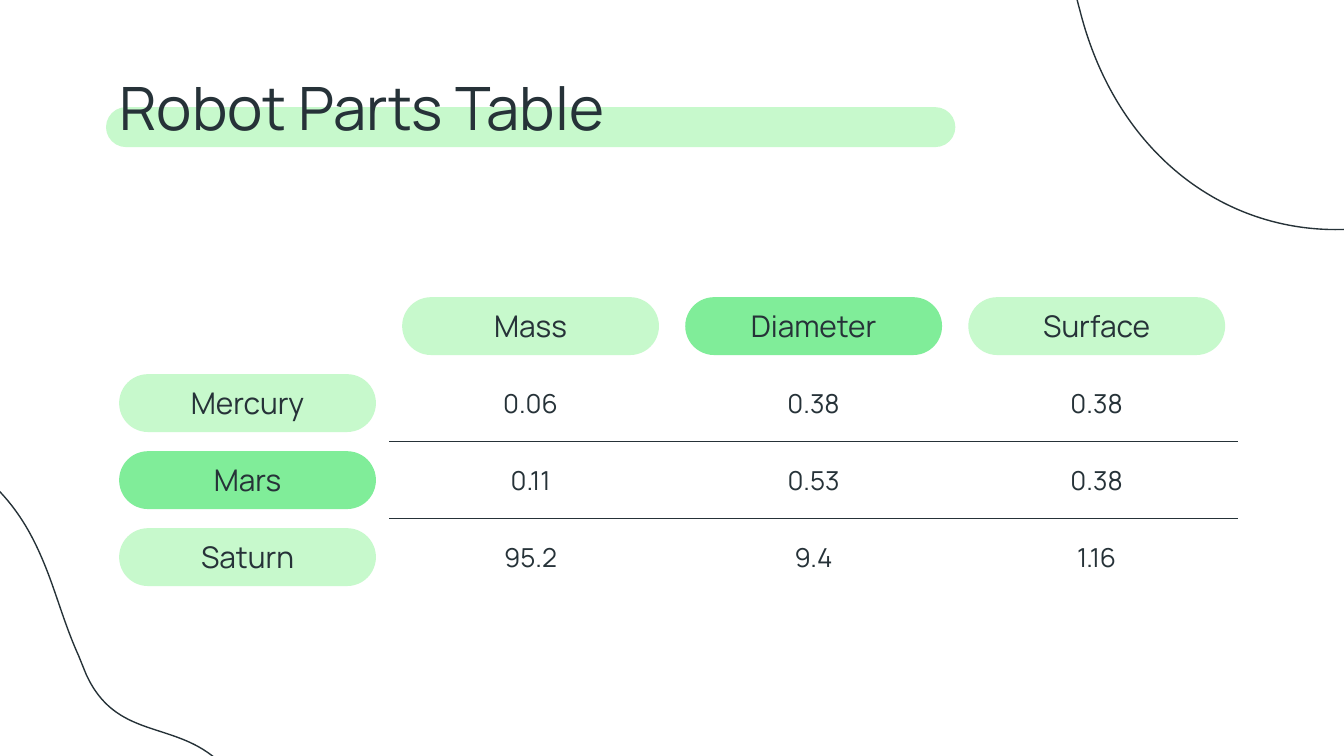
from dataclasses import dataclass

from lxml.etree import SubElement
from pptx import Presentation
from pptx.dml.color import RGBColor
from pptx.enum.shapes import MSO_SHAPE
from pptx.enum.text import MSO_ANCHOR, PP_ALIGN
from pptx.oxml.ns import qn
from pptx.util import Pt


@dataclass(frozen=True)
class Theme:
    font: str = "Manrope"
    ink: str = "263238"
    pale: str = "C7F9CC"
    bright: str = "80ED99"
    title_size: int = 32
    label_size: int = 16
    value_size: int = 14
    line_width: float = 0.75


theme = Theme()

deck = Presentation()
deck.slide_width, deck.slide_height = Pt(720), Pt(405)
slide = deck.slides.add_slide(deck.slide_layouts[6])


def add_pill(left, top, width, height, color):
    pill = slide.shapes.add_shape(
        MSO_SHAPE.ROUNDED_RECTANGLE, Pt(left), Pt(top), Pt(width), Pt(height)
    )
    pill.adjustments[0] = 0.5
    pill.shadow.inherit = False
    pill.fill.solid()
    pill.fill.fore_color.rgb = RGBColor.from_string(color)
    pill.line.fill.background()


def add_text(paragraph, text, size):
    run = paragraph.add_run()
    run.text = text
    run.font.name = theme.font
    run.font.size = Pt(size)
    run.font.color.rgb = RGBColor.from_string(theme.ink)


add_pill(56.8, 57.4, 455, 21.4, theme.pale)

blob_curve = [
    (253.4, 0),
    (247.7, 0), (240.5, 1.4), (233.3, 5.8),
    (205.2, 20.2), (203, 51.8), (164.9, 53.3),
    (161.3, 53.3), (157.7, 53.3), (154.1, 53.3),
    (136.1, 54), (118.8, 51.8), (103, 51.8),
    (83.5, 51.8), (64.1, 54), (42.5, 66.2),
    (6.5, 86.4), (0, 114.5), (7.2, 148.3),
    (18, 206.6), (68.4, 234), (126.7, 234),
    (151.2, 233.3), (177.1, 229), (202.3, 218.9),
    (280.8, 189.4), (318.2, 119.5), (299.5, 49),
    (294.5, 28.1), (279.4, 0), (253.4, 0),
]
blob_points = [(Pt(x), Pt(y)) for x, y in blob_curve]
for left, top, rotation in ((525.6, -142.6, 96.3), (-174.2, 262.8, 67.9)):
    builder = slide.shapes.build_freeform(*blob_points[0])
    builder.add_line_segments(blob_points[1:], close=True)
    blob = builder.convert_to_shape()
    segments = list(blob._element.iter(qn("a:lnTo")))
    for first in range(0, len(blob_points) - 1, 3):
        start, *controls = segments[first:first + 3]
        bezier = start.makeelement(qn("a:cubicBezTo"))
        start.addprevious(bezier)
        for segment in (start, *controls):
            bezier.append(segment[0])
            segment.getparent().remove(segment)
    blob.left, blob.top, blob.rotation = Pt(left), Pt(top), rotation
    blob.shadow.inherit = False
    blob.fill.background()
    blob.line.color.rgb = RGBColor.from_string(theme.ink)
    blob.line.width = Pt(theme.line_width)

planets = [
    ["", "Mass", "Diameter", "Surface"],
    ["Mercury", "0.06", "0.38", "0.38"],
    ["Mars", "0.11", "0.53", "0.38"],
    ["Saturn", "95.2", "9.4", "1.16"],
]
table_left, table_top = 56.8, 154.1
column_width, row_height = 151.65, 41.25
pill_width, pill_height = 137.6, 31
count = len(planets)

header_cells = [(0, column) for column in range(1, count)]
planet_cells = [(row, 0) for row in range(1, count)]
for row, column in header_cells + planet_cells:
    add_pill(
        table_left + column * column_width + (column_width - pill_width) / 2,
        table_top + row * row_height + (row_height - pill_height) / 2,
        pill_width,
        pill_height,
        theme.bright if row + column == 2 else theme.pale,
    )

table = slide.shapes.add_table(
    count, count, Pt(table_left), Pt(table_top),
    Pt(column_width * count), Pt(row_height * count),
).table
table.first_row = False
table.horz_banding = False
table._tbl.tblPr.find(qn("a:tableStyleId")).text = "{2D5ABB26-0587-4C30-8999-92F81FD0307C}"

for row, values in enumerate(planets):
    for column, value in enumerate(values):
        cell = table.cell(row, column)
        cell.vertical_anchor = MSO_ANCHOR.MIDDLE
        cell.margin_left = cell.margin_right = Pt(7.2)
        cell.margin_top = cell.margin_bottom = Pt(7.2)
        properties = cell._tc.get_or_add_tcPr()
        if column:
            for side, ruled in (("a:lnT", row > 1), ("a:lnB", 0 < row < count - 1)):
                if ruled:
                    border = SubElement(properties, qn(side), w=str(Pt(theme.line_width)))
                    border_fill = SubElement(border, qn("a:solidFill"))
                    SubElement(border_fill, qn("a:srgbClr"), val=theme.ink)
        cell.fill.background()
        if value:
            paragraph = cell.text_frame.paragraphs[0]
            paragraph.alignment = PP_ALIGN.CENTER
            is_label = row == 0 or column == 0
            add_text(paragraph, value, theme.label_size if is_label else theme.value_size)

title = slide.shapes.add_textbox(Pt(56.8), Pt(30.5), Pt(606.6), Pt(48)).text_frame
title.word_wrap = True
title.margin_left = title.margin_right = title.margin_top = title.margin_bottom = Pt(7.2)
add_text(title.paragraphs[0], "Robot Parts Table", theme.title_size)

deck.save("out.pptx")
